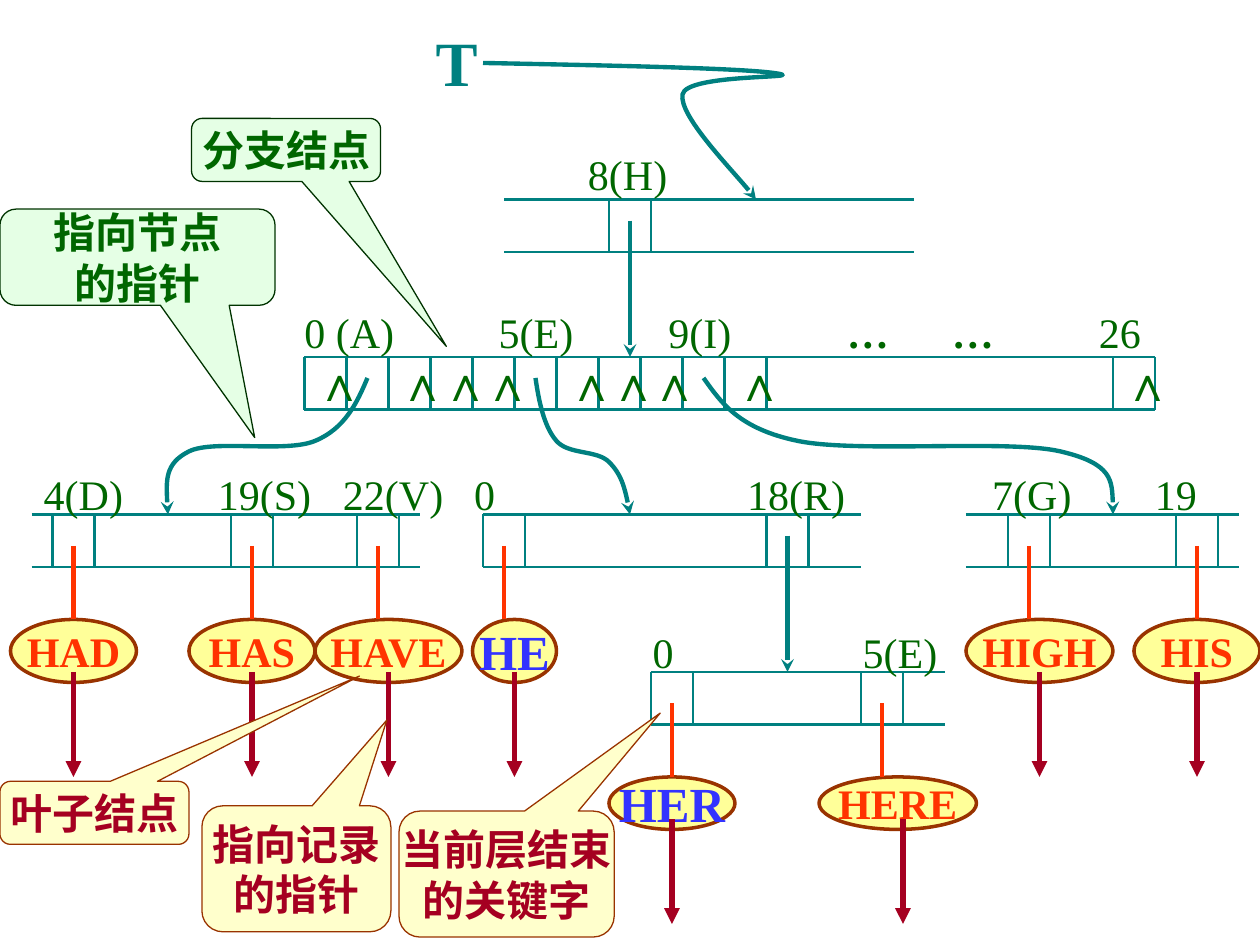
from lxml import etree
from pptx import Presentation
from pptx.dml.color import RGBColor
from pptx.enum import shapes, text
from pptx.oxml.ns import qn
from pptx.util import Pt

TEAL = RGBColor(0x00, 0x80, 0x80)
GREEN = RGBColor(0x00, 0x66, 0x00)
DARK_GREEN = RGBColor(0x00, 0x33, 0x00)
MINT = RGBColor(0xCC, 0xFF, 0xCC)
BROWN = RGBColor(0x99, 0x33, 0x00)
YELLOW = RGBColor(0xFF, 0xFF, 0x99)
CREAM = RGBColor(0xFF, 0xFF, 0xCC)
ORANGE = RGBColor(0xFF, 0x33, 0x00)
BLUE = RGBColor(0x33, 0x33, 0xFF)
CRIMSON = RGBColor(0xA5, 0x00, 0x21)
FONT = "Times New Roman"
CELL_W, CELL_H = 24, 30

# left, right, top, left edges of the cells
NODES = [
    (288, 522, 114, [348]),
    (174, 660, 204, [174 + CELL_W * i for i in range(11)] + [636]),
    (18, 240, 294, [30, 132, 204]),
    (276, 492, 294, [276, 438]),
    (552, 708, 294, [576, 672]),
    (372, 540, 384, [372, 492]),
]
EMPTY_CELLS = [0, 2, 3, 4, 6, 7, 8, 10, 11]
LABELS = {
    85: [("8(H)", 336)],
    175: [("0 (A)", 174), ("5(E)", 285), ("9(I)", 382), ("…", 484), ("…", 544), ("26", 628)],
    268: [("4(D)", 25), ("19(S)", 124.5), ("22(V)", 196), ("0", 271),
          ("18(R)", 427), ("7(G)", 567), ("19", 660)],
    358: [("0", 373), ("5(E)", 493)],
}
POINTERS = [(360, 126, 204), (450, 306, 384)]
CURVES = [
    [(276, 36), (351, 37.5), (425, 39), (444, 42), (463, 45), (392, 42), (390, 54),
     (388, 66), (425, 104), (432, 114)],
    [(210, 216), (204, 230.4), (197, 245), (180, 252), (163, 259), (122, 251), (108, 258),
     (94, 265), (95, 279), (96, 294)],
    [(306, 216), (308, 230), (311, 244), (318, 252), (325, 260), (341, 257), (348, 264),
     (355, 271), (358, 282), (360, 294)],
    [(402, 216), (412, 230), (422, 245), (456, 252), (490, 259), (576, 251), (606, 258),
     (636, 265), (636, 279), (636, 294)],
]
# word, left, top, width, height, stem x, record pointer x, size, colour
LEAVES = [
    ("HAD", 6, 354, 72, 36, 42, 42, 24, ORANGE),
    ("HAS", 108, 354, 72, 36, 144, 144, 24, ORANGE),
    ("HAVE", 180, 354, 84, 36, 216, 222, 24, ORANGE),
    ("HE", 270, 354, 48, 36, 288, 294, 28, BLUE),
    ("HER", 348, 444, 72, 30, 384, 384, 28, BLUE),
    ("HERE", 468, 444, 90, 30, 504, 516, 24, ORANGE),
    ("HIGH", 552, 354, 84, 36, 588, 594, 24, ORANGE),
    ("HIS", 648, 354, 72, 36, 684, 684, 24, ORANGE),
]
LEAF_STYLE = (CREAM, BROWN, CRIMSON)
BRANCH_STYLE = (MINT, DARK_GREEN, GREEN)
CALLOUTS = [
    ("叶子结点", (0, 446.5, 108, 36), (1.402, -2.171), LEAF_STYLE),
    ("分支结点", (109.5, 67.7, 108, 36), (0.848, 3.118), BRANCH_STYLE),
    ("指向记录\n的指针", (115.4, 460.5, 108, 72), (0.479, -1.181), LEAF_STYLE),
    ("指向节点\n的指针", (0, 119.5, 157.2, 55), (0.426, 1.874), BRANCH_STYLE),
    ("当前层结束\n的关键字", (228, 463.5, 123, 72), (0.714, -1.278), LEAF_STYLE),
]

prs = Presentation()
prs.slide_width, prs.slide_height = Pt(720), Pt(540)
s = prs.slides.add_slide(prs.slide_layouts[6])


def style_line(sp, colour, width, head=None):
    sp.line.color.rgb = colour
    sp.line.width = Pt(width)
    if head:
        etree.SubElement(sp.line._get_or_add_ln(), qn("a:tailEnd"), type=head)


def line(x1, y1, x2, y2, colour=TEAL, width=1.5, head=None):
    cn = s.shapes.add_connector(shapes.MSO_CONNECTOR.STRAIGHT, Pt(x1), Pt(y1), Pt(x2), Pt(y2))
    style_line(cn, colour, width, head)
    etree.SubElement(cn._element.spPr, qn("a:effectLst"))


def curve(points):
    pts = [(Pt(x), Pt(y)) for x, y in points]
    fb = s.shapes.build_freeform(*pts[0])
    fb.add_line_segments(pts[1:], close=False)
    sp = fb.convert_to_shape()
    segments = sp._element.xpath(".//a:lnTo")
    for i in range(0, len(segments), 3):
        bezier = etree.Element(qn("a:cubicBezTo"))
        segments[i].addprevious(bezier)
        for seg in segments[i:i + 3]:
            bezier.append(seg[0])
            seg.getparent().remove(seg)
    sp.fill.background()
    sp.shadow.inherit = False
    style_line(sp, TEAL, 2.5, "stealth")


def write(sp, words, size, colour, bold=False, align=text.PP_ALIGN.LEFT):
    tf = sp.text_frame
    tf.text = words
    tf.word_wrap = False
    for p in tf.paragraphs:
        p.alignment = align
        for r in p.runs:
            r.font.name, r.font.size, r.font.bold = FONT, Pt(size), bold
            r.font.color.rgb = colour


def label(words, x, y, size=24, colour=GREEN, bold=False):
    sp = s.shapes.add_textbox(Pt(x), Pt(y), Pt(size * 0.6 * len(words)), Pt(size * 1.2))
    tf = sp.text_frame
    tf.margin_left = tf.margin_top = tf.margin_right = tf.margin_bottom = 0
    write(sp, words, size, colour, bold)


def shape(kind, box, words, size, fill, outline, width, colour):
    sp = s.shapes.add_shape(kind, *map(Pt, box))
    sp.shadow.inherit = False
    sp.fill.solid()
    sp.fill.fore_color.rgb = fill
    style_line(sp, outline, width)
    sp.text_frame.vertical_anchor = text.MSO_ANCHOR.MIDDLE
    write(sp, words, size, colour, True, text.PP_ALIGN.CENTER)
    return sp


for left, right, top, cells in NODES:
    for y in (top, top + CELL_H):
        line(left, y, right, y)
    for x in sorted({edge for c in cells for edge in (c, c + CELL_W)}):
        line(x, top, x, top + CELL_H)

for y, row in LABELS.items():
    for words, x in row:
        label(words, x, y, bold=words == "…")
label("T", 249, 13.5, 36, TEAL, True)

for x, y1, y2 in POINTERS:
    line(x, y1, x, y2, TEAL, 2.5, "stealth")
for points in CURVES:
    curve(points)

for word, x, y, w, h, stem, record, size, colour in LEAVES:
    shape(shapes.MSO_SHAPE.OVAL, (x, y, w, h), word, size, YELLOW, BROWN, 2, colour)
    line(stem, y - 42, stem, y, ORANGE, 2.5)
    line(record, y + h - 6, record, y + h + 54, CRIMSON, 3, "triangle")

for i in EMPTY_CELLS:
    label("∧", NODES[1][3][i] + 6, 201.6, 28)

for words, box, tip, (fill, outline, colour) in CALLOUTS:
    sp = shape(shapes.MSO_SHAPE.ROUNDED_RECTANGULAR_CALLOUT, box, words, 24,
               fill, outline, 0.75, colour)
    sp.adjustments[0], sp.adjustments[1] = tip
    if fill == MINT:
        clr = sp._element.spPr.find(qn("a:solidFill"))[0]
        etree.SubElement(clr, qn("a:alpha"), val="50000")

prs.save("out.pptx")
